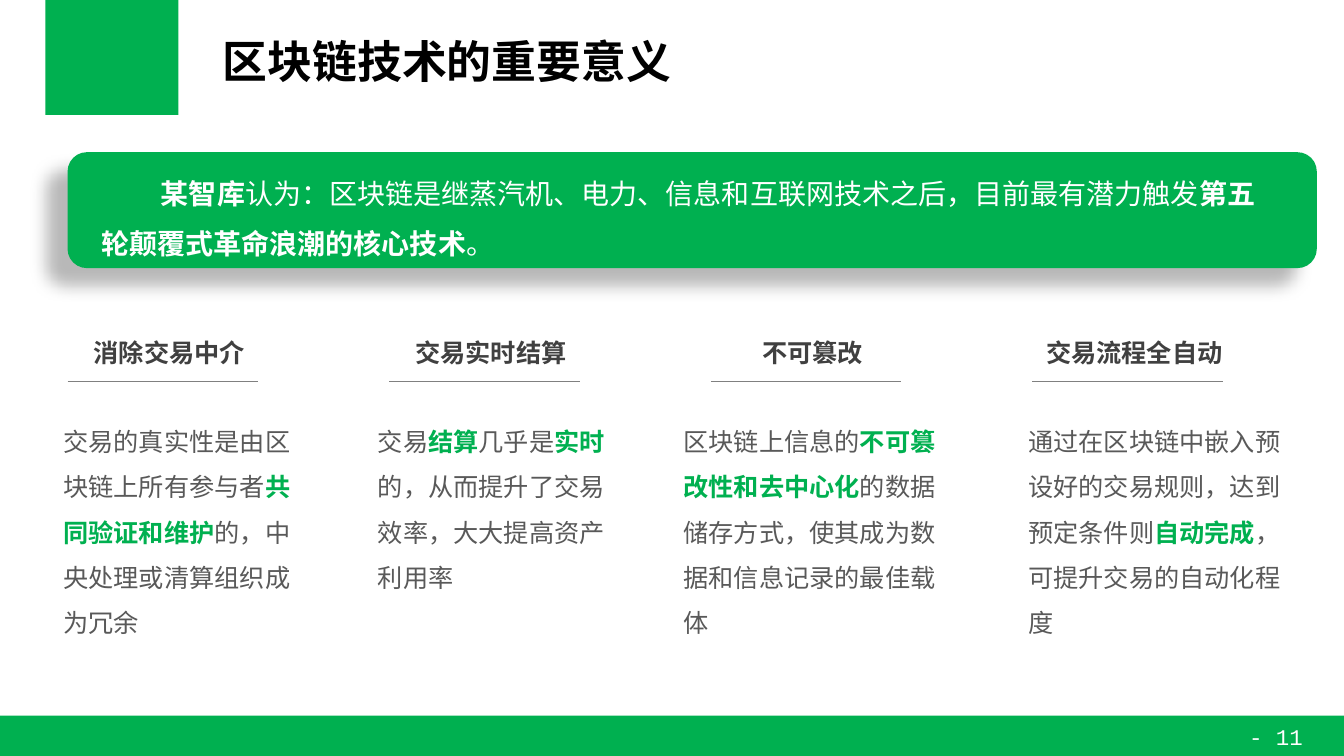
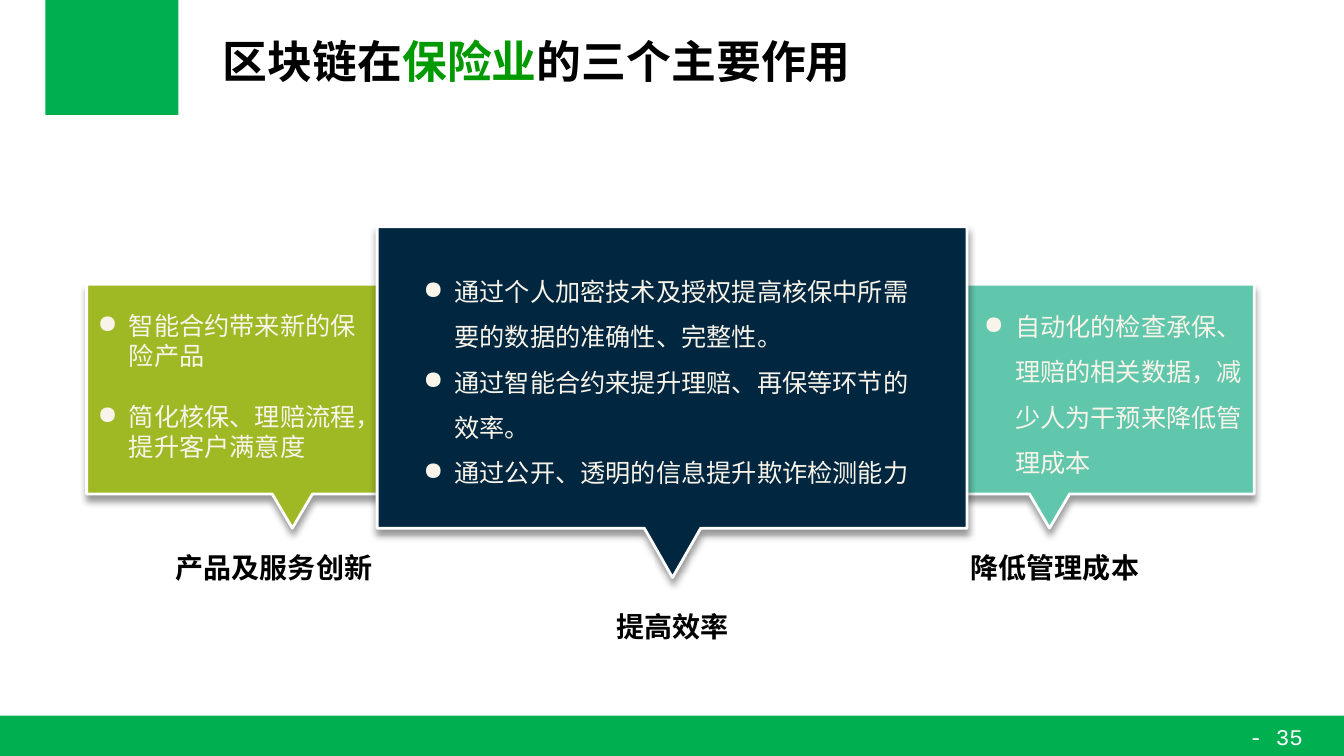
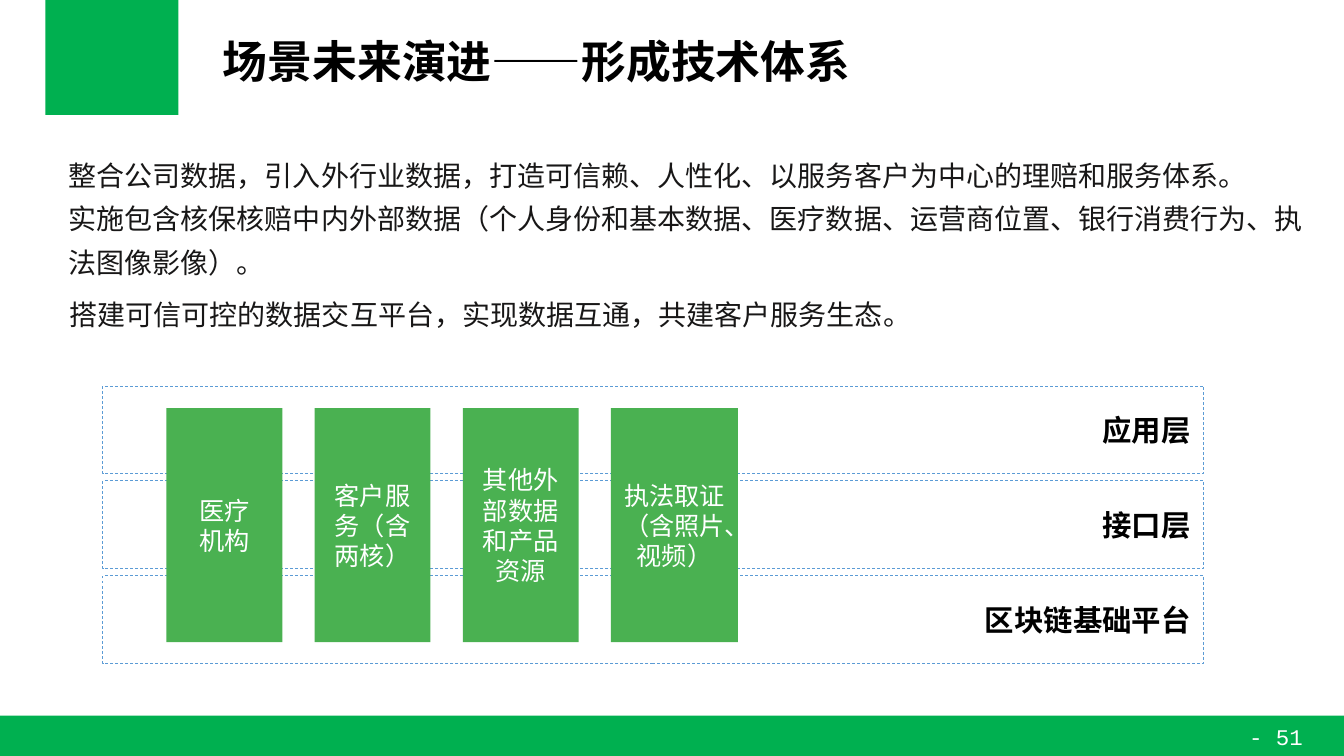
from lxml.etree import SubElement
from pptx import Presentation
from pptx.dml.color import RGBColor
from pptx.enum.dml import MSO_LINE
from pptx.enum.shapes import MSO_CONNECTOR, MSO_SHAPE as SHAPE
from pptx.enum.text import MSO_ANCHOR as ANCHOR, MSO_AUTO_SIZE, PP_ALIGN as ALIGN
from pptx.oxml.ns import qn
from pptx.util import Inches, Pt

COLORS = {
    "green": "00B050", "title_green": "009900", "pillar": "4AB151",
    "navy": "002640", "lime": "9FB925", "teal": "60C7AC", "cream": "F8F4E9",
    "white": "FFFFFF", "black": "000000", "ink": "181717",
    "heading": "404040", "body": "595959", "rule": "808080", "dash": "5B9BD5",
}
RGB = {name: RGBColor.from_string(value) for name, value in COLORS.items()}
CJK = "Noto Sans CJK SC"
WIDE_INSETS = (0.13, 0.07)


def write(shape, paragraphs, size, font, color, bold=False, align=ALIGN.LEFT,
          anchor=ANCHOR.TOP, insets=(0.1, 0.05), spacing=None, bullet=False,
          first_indent=0, gap=0):
    """Fill a shape with paragraphs; a run is a string or (text, color, bold)."""
    frame = shape.text_frame
    frame.word_wrap = True
    frame.auto_size = MSO_AUTO_SIZE.NONE
    frame.vertical_anchor = anchor
    frame.margin_left = frame.margin_right = Inches(insets[0])
    frame.margin_top = frame.margin_bottom = Inches(insets[1])
    for index, runs in enumerate(paragraphs):
        paragraph = frame.add_paragraph() if index else frame.paragraphs[0]
        paragraph.alignment = align
        if spacing:
            paragraph.line_spacing = spacing
        if index and gap:
            paragraph.space_before = Pt(gap)
        properties = paragraph._p.get_or_add_pPr()
        if first_indent:
            properties.set("indent", str(Inches(first_indent)))
        if bullet:
            properties.set("marL", str(Inches(0.31)))
            properties.set("indent", str(-Inches(0.31)))
            SubElement(properties, qn("a:buChar"), char="●")
        for item in runs:
            text, run_color, run_bold = (item, color, bold) if isinstance(item, str) else item
            run = paragraph.add_run()
            run.text = text
            run.font.size = Pt(size)
            run.font.bold = run_bold
            run.font.name = font
            run.font.color.rgb = RGB[run_color]
            SubElement(run.font._element, qn("a:ea"), typeface=CJK)


def add_shadow(shape, opacity, blur, distance, angle):
    shape.shadow.inherit = False
    effects = shape.element.spPr.find(qn("a:effectLst"))
    shadow = SubElement(effects, qn("a:outerShdw"), blurRad=str(Pt(blur)),
                        dist=str(Pt(distance)), dir=str(angle * 60000),
                        algn="ctr", rotWithShape="0")
    tint = SubElement(shadow, qn("a:srgbClr"), val=COLORS["black"])
    SubElement(tint, qn("a:alpha"), val=str(opacity * 1000))


prs = Presentation()
prs.slide_width, prs.slide_height = Inches(13.33), Inches(7.5)
title_only = prs.slide_layouts[5]

# Titles and page numbers
pages = [
    (11, ["区块链技术的重要意义"]),
    (35, ["区块链在", ("保险业", "title_green", True), "的三个主要作用"]),
    (51, ["场景未来演进——形成技术体系"]),
]
slides = []
for number, title_runs in pages:
    slide = prs.slides.add_slide(title_only)
    slides.append(slide)
    title = slide.shapes.title
    title.left, title.top = Inches(2.11), Inches(0.24)
    title.width, title.height = Inches(10.49), Inches(0.78)
    write(title, [title_runs], 32, "Arial", "black", bold=True,
          anchor=ANCHOR.MIDDLE, spacing=0.9)
    page_number = slide.shapes.add_textbox(Inches(12.18), Inches(7.12), Inches(0.95), Inches(0.37))
    write(page_number, [[f"- {number}"]], 16, "Courier New", "white", align=ALIGN.CENTER)
significance, insurance, evolution = [slide.shapes for slide in slides]

# Green corner block and footer band, moved onto the shared layout
for left, top, width, height in [(0.45, 0, 1.32, 1.14), (0, 7.1, 13.33, 0.4)]:
    band = significance.add_shape(SHAPE.RECTANGLE, Inches(left), Inches(top),
                                  Inches(width), Inches(height))
    band.fill.solid()
    band.fill.fore_color.rgb = RGB["green"]
    band.line.fill.background()
    band.shadow.inherit = False
    title_only.shapes.element.insert(2, band.element)

# Significance: quotation banner
banner = significance.add_shape(SHAPE.ROUNDED_RECTANGLE, Inches(0.67), Inches(1.51),
                                Inches(12.39), Inches(1.15))
banner.fill.solid()
banner.fill.fore_color.rgb = RGB["green"]
banner.line.fill.background()
add_shadow(banner, 28, 11.8, 19.7, 141)
write(banner, [[("某智库", "white", True),
                "认为：区块链是继蒸汽机、电力、信息和互联网技术之后，目前最有潜力触发",
                ("第五轮颠覆式革命浪潮的核心技术", "white", True), "。"]],
      20, CJK, "white", anchor=ANCHOR.MIDDLE, insets=(0.28, 0.05),
      spacing=1.5, first_indent=0.59)

# Significance: four benefits (heading, text left, text width, text)
benefits = [
    ("消除交易中介", 0.53, 2.62,
     ["交易的真实性是由区块链上所有参与者", ("共同验证和维护", "green", True),
      "的，中央处理或清算组织成为冗余"]),
    ("交易实时结算", 3.65, 2.65,
     ["交易", ("结算", "green", True), "几乎是", ("实时", "green", True),
      "的，从而提升了交易效率，大大提高资产利用率"]),
    ("不可篡改", 6.68, 2.76,
     ["区块链上信息的", ("不可篡改性和去中心化", "green", True),
      "的数据储存方式，使其成为数据和信息记录的最佳载体"]),
    ("交易流程全自动", 10.1, 2.79,
     ["通过在区块链中嵌入预设好的交易规则，达到预定条件则",
      ("自动完成", "green", True), "，可提升交易的自动化程度"]),
]
for column, (heading, text_left, text_width, runs) in enumerate(benefits):
    rule_left = 0.67 + 3.19 * column
    rule = significance.add_connector(MSO_CONNECTOR.STRAIGHT, Inches(rule_left), Inches(3.78),
                                      Inches(rule_left + 1.89), Inches(3.78))
    rule.line.color.rgb = RGB["rule"]
    rule.line.width = Pt(0.5)
    SubElement(rule.element.spPr, qn("a:effectLst"))
    heading_box = significance.add_textbox(Inches(rule_left - 0.21), Inches(3.3),
                                           Inches(2.44), Inches(0.4))
    write(heading_box, [[heading]], 18, "Arial", "heading", bold=True,
          align=ALIGN.CENTER, anchor=ANCHOR.MIDDLE)
    benefit_text = significance.add_textbox(Inches(text_left), Inches(4.08),
                                            Inches(text_width), Inches(2.27))
    write(benefit_text, [runs], 18, "Arial", "body", insets=(0.1, 0), spacing=1.5)

# Insurance: callouts (left, top, width, body bottom, pointer x, half width, tip y, colour)
callouts = [
    (8.38, 2.82, 4.06, 4.9, 10.41, 0.2, 5.24, "teal"),
    (0.86, 2.82, 4.06, 4.9, 2.9, 0.2, 5.24, "lime"),
    (3.74, 2.25, 5.85, 5.24, 6.67, 0.28, 5.73, "navy"),
]
for left, top, width, bottom, pointer, half, tip, color in callouts:
    right = left + width
    outline = insurance.build_freeform(Inches(left), Inches(top))
    corners = [(right, top), (right, bottom), (pointer + half, bottom), (pointer, tip),
               (pointer - half, bottom), (left, bottom)]
    outline.add_line_segments([(Inches(x), Inches(y)) for x, y in corners], close=True)
    callout = outline.convert_to_shape()
    callout.fill.solid()
    callout.fill.fore_color.rgb = RGB[color]
    callout.line.color.rgb = RGB["white"]
    callout.line.width = Pt(2)
    add_shadow(callout, 40, 5, 4, 90)

# Insurance: labels under the pointers
labels = [
    ("产品及服务创新", 0, 5.41, 3.79, ALIGN.RIGHT),
    ("提高效率", 4.57, 6, 4.2, ALIGN.CENTER),
    ("降低管理成本", 9.53, 5.41, 3.79, ALIGN.LEFT),
]
for label, left, top, width, align in labels:
    label_box = insurance.add_textbox(Inches(left), Inches(top), Inches(width), Inches(0.44))
    write(label_box, [[label]], 20, "Calibri", "black", bold=True, align=align)

# Insurance: bullet lists (position, line spacing, gap, points)
point_lists = [
    ((0.87, 3.03, 2.87, 1.62), None, 21.6,
     ["智能合约带来新的保险产品", "简化核保、理赔流程，提升客户满意度"]),
    ((4.1, 2.54, 5.12, 2.37), 1.5, 0,
     ["通过个人加密技术及授权提高核保中所需要的数据的准确性、完整性。",
      "通过智能合约来提升理赔、再保等环节的效率。",
      "通过公开、透明的信息提升欺诈检测能力"]),
    ((9.66, 2.89, 2.78, 1.92), 1.5, 0,
     ["自动化的检查承保、理赔的相关数据，减少人为干预来降低管理成本"]),
]
for position, spacing, gap, points in point_lists:
    point_box = insurance.add_textbox(*[Inches(value) for value in position])
    write(point_box, [[point] for point in points], 18, "Calibri", "cream",
          spacing=spacing, bullet=True, gap=gap)

# Evolution: introduction
introductions = [
    ((0.55, 1.4, 12.52, 1.45),
     ["整合公司数据，引入外行业数据，打造可信赖、人性化、以服务客户为中心的理赔和服务体系。",
      "实施包含核保核赔中内外部数据（个人身份和基本数据、医疗数据、运营商位置、银行消费行为、执法图像影像）。"]),
    ((0.56, 2.78, 12.23, 0.57),
     ["搭建可信可控的数据交互平台，实现数据互通，共建客户服务生态。"]),
]
for position, sentences in introductions:
    introduction = evolution.add_textbox(*[Inches(value) for value in position])
    write(introduction, [[sentence] for sentence in sentences], 20, CJK, "ink",
          insets=WIDE_INSETS, spacing=1.3)

# Evolution: three dashed layers
for row, name in enumerate(["应用层", "接口层", "区块链基础平台"]):
    layer = evolution.add_shape(SHAPE.RECTANGLE, Inches(1.02), Inches(3.83 + 0.94 * row),
                                Inches(10.92), Inches(0.87))
    layer.fill.background()
    layer.line.color.rgb = RGB["dash"]
    layer.line.width = Pt(0.5)
    layer.line.dash_style = MSO_LINE.DASH
    layer.shadow.inherit = False
    write(layer, [[name]], 21, CJK, "black", bold=True, align=ALIGN.RIGHT,
          anchor=ANCHOR.MIDDLE, insets=WIDE_INSETS)

# Evolution: four pillars across the layers
pillars = [
    (1.15, ["医疗", "机构"]),
    (1.15, ["客户服务（含两核）"]),
    (1.15, ["其他外部数据和产品资源"]),
    (1.26, ["执法取证（含照片、视频）"]),
]
for column, (width, lines) in enumerate(pillars):
    pillar = evolution.add_shape(SHAPE.RECTANGLE, Inches(1.65 + 1.47 * column), Inches(4.05),
                                 Inches(width), Inches(2.32))
    pillar.fill.solid()
    pillar.fill.fore_color.rgb = RGB["pillar"]
    pillar.line.fill.background()
    pillar.shadow.inherit = False
    write(pillar, [[line] for line in lines], 18, CJK, "white", align=ALIGN.CENTER,
          anchor=ANCHOR.MIDDLE, insets=WIDE_INSETS)

prs.save("out.pptx")
